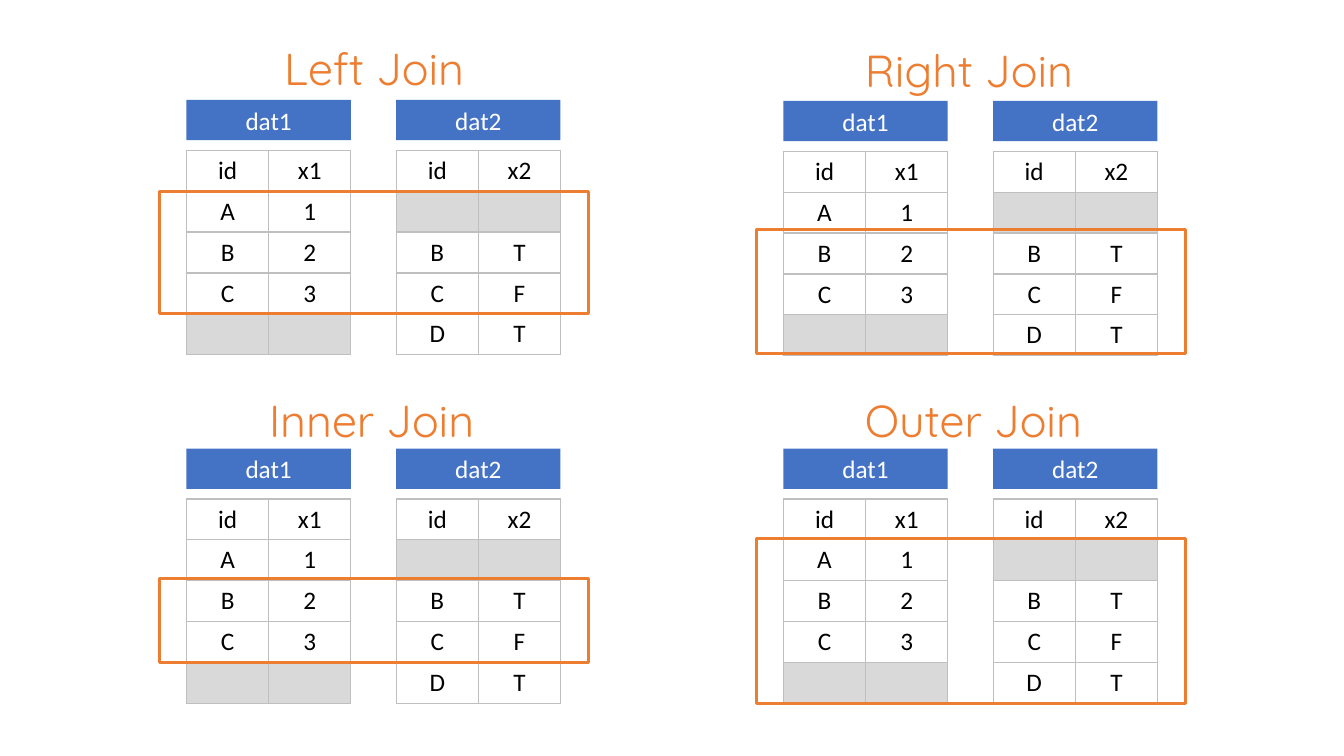
from lxml import etree
from pptx import Presentation
from pptx.dml.color import RGBColor
from pptx.enum.shapes import MSO_SHAPE
from pptx.enum.text import MSO_ANCHOR, MSO_AUTO_SIZE, PP_ALIGN
from pptx.oxml.ns import qn
from pptx.util import Pt

EMU_PER_PX = 9144
RECT = MSO_SHAPE.RECTANGLE
CENTER, LEFT = PP_ALIGN.CENTER, PP_ALIGN.LEFT
MIDDLE, TOP = MSO_ANCHOR.MIDDLE, MSO_ANCHOR.TOP
GROW = MSO_AUTO_SIZE.SHAPE_TO_FIT_TEXT

BLUE, ORANGE = "4472C4", "ED7D31"
WHITE, BLACK, GREY, BORDER = "FFFFFF", "000000", "D9D9D9", "BFBFBF"

TABLE_W, TABLE_H, HEADER_H = 163, 203, 40
TABLE_STEP, TABLE_DROP = 208, 50
FRAME_W, FRAME_INSET = 426, 27

DATASETS = [
    ("dat1", [("id", "x1"), ("A", "1"), ("B", "2"), ("C", "3"), ("", "")]),
    ("dat2", [("id", "x2"), ("", ""), ("B", "T"), ("C", "F"), ("D", "T")]),
]

JOINS = [
    ("Left Join", (272, 35, 199), (185, 99), (190, 121)),
    ("Right Join", (848, 37, 229), (777, 100), (228, 123)),
    ("Inner Join", (257, 385, 227), (185, 445), (574, 83)),
    ("Outer Join", (848, 385, 244), (777, 445), (534, 164)),
]


def px(n):
    return n * EMU_PER_PX


def rgb(color):
    return RGBColor.from_string(color)


class JoinSlide:
    body_font, title_font = "Calibri", "Quicksand"
    body_size, title_size = 18, 32

    def __init__(self, prs):
        self.s = prs.slides.add_slide(prs.slide_layouts[6])

    def set_text(self, tf, text, color, align=CENTER, font=body_font, size=body_size):
        tf.text = text
        p = tf.paragraphs[0]
        p.alignment = align
        for r in p.runs:
            r.font.name = font
            r.font.size = Pt(size)
            r.font.color.rgb = rgb(color)

    def title(self, x, y, w, text):
        sp = self.s.shapes.add_textbox(px(x), px(y), px(w), px(64))
        tf = sp.text_frame
        tf.word_wrap = False
        tf.auto_size = GROW
        tf.vertical_anchor = TOP
        self.set_text(tf, text, ORANGE, LEFT, self.title_font, self.title_size)

    def rect(self, x, y, w, h):
        sp = self.s.shapes.add_shape(RECT, px(x), px(y), px(w), px(h))
        sp.shadow.inherit = False
        return sp

    def header(self, x, y, text):
        sp = self.rect(x, y, TABLE_W, HEADER_H)
        sp.fill.solid()
        sp.fill.fore_color.rgb = rgb(BLUE)
        sp.line.fill.background()
        tf = sp.text_frame
        tf.word_wrap = True
        tf.auto_size = GROW
        tf.vertical_anchor = MIDDLE
        self.set_text(tf, text, WHITE)

    def frame(self, x, y, w, h):
        sp = self.rect(x, y, w, h)
        sp.fill.background()
        sp.line.color.rgb = rgb(ORANGE)
        sp.line.width = Pt(2)

    def borders(self, cell):
        tcPr = cell._tc.get_or_add_tcPr()
        for i, side in enumerate(("a:lnL", "a:lnR", "a:lnT", "a:lnB")):
            ln = etree.Element(qn(side), w=str(Pt(1)))
            fill = etree.SubElement(ln, qn("a:solidFill"))
            etree.SubElement(fill, qn("a:srgbClr"), val=BORDER)
            tcPr.insert(i, ln)

    def table(self, x, y, rows):
        n_rows, n_cols = len(rows), len(rows[0])
        shape = self.s.shapes.add_table(
            n_rows, n_cols, px(x), px(y), px(TABLE_W), px(TABLE_H))
        table = shape.table
        table.first_row = False
        table.horz_banding = False
        for col in table.columns:
            col.width = px(TABLE_W) // n_cols
        for row, values in zip(table.rows, rows):
            row.height = px(TABLE_H) // n_rows
            for cell, value in zip(row.cells, values):
                cell.margin_top = cell.margin_bottom = 0
                cell.vertical_anchor = MIDDLE
                cell.fill.solid()
                cell.fill.fore_color.rgb = rgb(WHITE if value else GREY)
                self.borders(cell)
                self.set_text(cell.text_frame, value, BLACK)

    def join(self, name, title_box, origin, frame_span):
        left, top = origin
        for i, (dataset, rows) in enumerate(DATASETS):
            x = left + i * TABLE_STEP
            self.table(x, top + TABLE_DROP, rows)
            self.header(x, top, dataset)
        frame_y, frame_h = frame_span
        self.frame(left - FRAME_INSET, frame_y, FRAME_W, frame_h)
        self.title(*title_box, name)


def main():
    prs = Presentation()
    prs.slide_width, prs.slide_height = px(1333), px(750)
    slide = JoinSlide(prs)
    for join in JOINS:
        slide.join(*join)
    prs.save("out.pptx")


if __name__ == "__main__":
    main()
